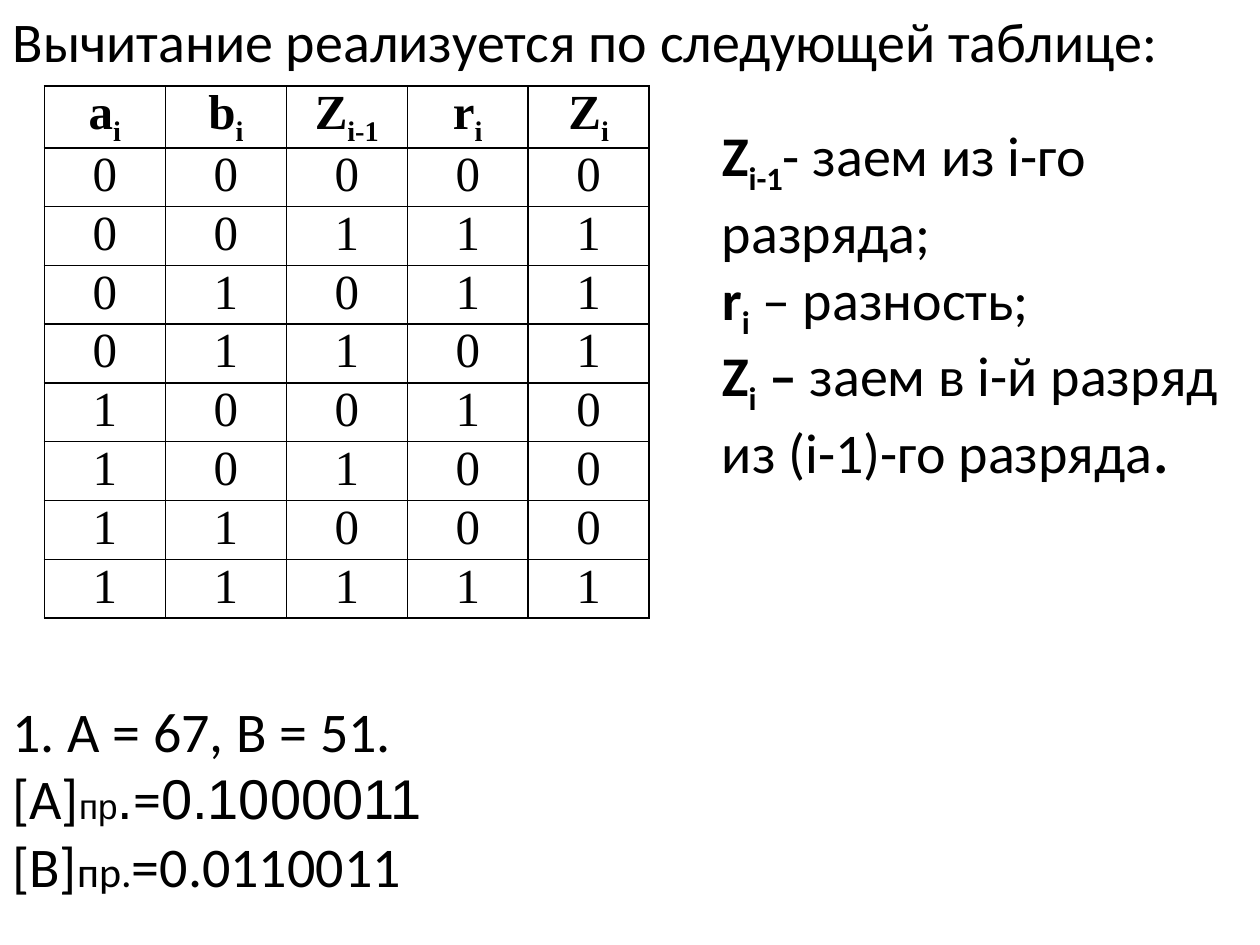
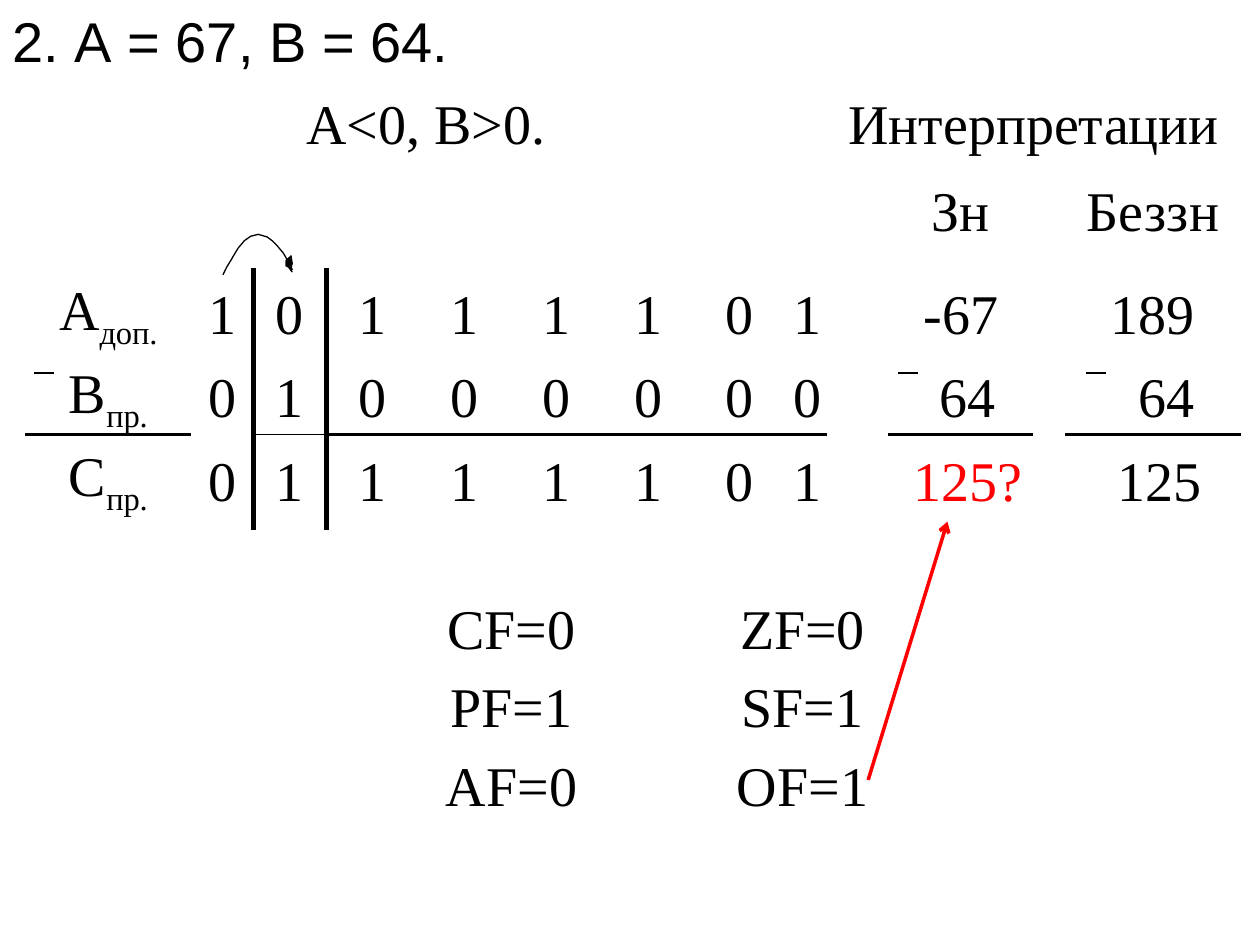
"""Build two slides on binary subtraction: the borrow table and a worked example with flags."""
from itertools import product

from lxml.etree import SubElement
from pptx import Presentation
from pptx.dml.color import RGBColor
from pptx.enum.shapes import MSO_CONNECTOR as Connector
from pptx.enum.text import MSO_ANCHOR as Anchor, MSO_AUTO_SIZE as AutoSize, PP_ALIGN as Align
from pptx.oxml.ns import qn
from pptx.util import Pt

THEME = {
    "ink": RGBColor(0, 0, 0),
    "alert": RGBColor(255, 0, 0),
    "body": "Calibri",
    "plain": "Arial",
    "digits": "Times New Roman",
    "large": Pt(32),
    "cell": Pt(28),
    "index": Pt(24),
    "small_index": Pt(20),
    "no_grid": "{2D5ABB26-0587-4C30-8999-92F81FD0307C}",
}


def write(paragraph, runs, **base):
    """Add (text, format) runs; an underscore in a text starts its subscript."""
    for text, changes in runs:
        look = {"size": THEME["large"], "name": THEME["body"], "bold": False, **base, **changes}
        color = look.pop("color", THEME["ink"])
        for level, part in enumerate(text.split("_")):
            run = paragraph.add_run()
            run.text = part
            for key, value in look.items():
                setattr(run.font, key, value)
            run.font.color.rgb = color
            if level:
                run.font._element.set("baseline", "-25000")


def add_grid(slide, left, top, widths, heights, rows, edges, looks, anchor, size):
    """Add a table with only the given cell edges, as (side, points) pairs, and text looks."""
    frame = slide.shapes.add_table(len(rows), len(widths), Pt(left), Pt(top),
                                   Pt(sum(widths)), Pt(sum(heights)))
    table = frame.table
    table.first_row = table.horz_banding = False
    table._tbl.tblPr.find(qn("a:tableStyleId")).text = THEME["no_grid"]
    for column, width in zip(table.columns, widths):
        column.width = Pt(width)
    for row, height in zip(table.rows, heights):
        row.height = Pt(height)
    for r, c in product(range(len(rows)), range(len(widths))):
        cell = table.cell(r, c)
        cell.vertical_anchor = anchor
        cell.margin_left = cell.margin_right = Pt(5)
        cell.margin_top = cell.margin_bottom = 0
        for side, weight in edges.get((r, c), []):
            line = SubElement(cell._tc.get_or_add_tcPr(), qn(f"a:ln{side}"), w=str(Pt(weight)))
            fill = SubElement(line, qn("a:solidFill"))
            SubElement(fill, qn("a:srgbClr"), val=str(THEME["ink"]))
        cell.fill.background()
        if rows[r][c]:
            paragraph = cell.text_frame.paragraphs[0]
            paragraph.alignment = Align.CENTER
            write(paragraph, [(rows[r][c], looks.get((r, c), {}))],
                  name=THEME["digits"], size=size)
    return table


prs = Presentation()
prs.slide_width, prs.slide_height = Pt(720), Pt(540)

headings = [
    ("Вычитание реализуется по следующей таблице:", THEME["body"], 46),
    ("2. А = 67, В = 64.", THEME["plain"], 85),
]
slides = []
for heading, face, height in headings:
    slide = prs.slides.add_slide(prs.slide_layouts[5])
    title = slide.shapes.title
    title.left, title.top, title.width, title.height = 0, 0, Pt(720), Pt(height)
    for key, value in {"auto_size": AutoSize.NONE, "vertical_anchor": Anchor.TOP,
                       "word_wrap": True}.items():
        setattr(title.text_frame, key, value)
    title.text_frame.paragraphs[0].alignment = Align.LEFT
    write(title.text_frame.paragraphs[0], [(heading, {})], name=face)
    slides.append(slide)
rules, example = slides

borrow_rows = [["a_i", "b_i", "Z_i-1", "r_i", "Z_i"]]
for a, b, borrow in product((0, 1), repeat=3):
    difference = a - b - borrow
    borrow_rows.append([str(bit) for bit in (a, b, borrow, difference % 2, int(difference < 0))])
box = [(side, 1) for side in "LRTB"]
add_grid(rules, 25.4, 49, [69.12] * 5, [33.6] * 9, borrow_rows,
         {spot: box for spot in product(range(9), range(5))},
         {(0, c): {"bold": True} for c in range(5)}, Anchor.TOP, THEME["cell"])

bold = {"bold": True}
arial = {"name": THEME["plain"]}
legend = [
    [("Z_i-1", bold), ("- заем из i-го разряда;", {})],
    [("r_i", bold), (" – разность;", {})],
    [("Z_i", bold), (" – ", bold), ("заем в i-й разряд из (i-1)-го разряда", {}), (".", bold)],
]
operands = [
    [("1. А = 67, В = 51.", {})],
    [("[А]", {}), ("пр", {**arial, "size": THEME["small_index"]}), (".", arial), ("=", {}),
     ("0.1000011", arial)],
    [("[В]", {}), ("пр.", {"size": THEME["index"]}), ("=0.0110011", {})],
]
for lines, left, top, width, height in [(legend, 405.4, 65.5, 314.6, 239.8),
                                        (operands, 0, 394.6, 720, 123.8)]:
    note = rules.shapes.add_textbox(Pt(left), Pt(top), Pt(width), Pt(height)).text_frame
    note.word_wrap = True
    for n, runs in enumerate(lines):
        write(note.add_paragraph() if n else note.paragraphs[0], runs)

sum_widths = [95, 35.3, 41.8, *[52.6] * 4, 51.8, 23.8, 35.3, 82.8, 18, 100.8]
sum_rows = [
    ["А<0, B>0.", *[""] * 8, "Интерпретации", "", "", ""],
    [*[""] * 10, "Зн", "", "Беззн"],
    ["A_доп.", *"10111101", "", "-67", "", "189"],
    ["B_пр.", *"01000000", "", "64", "", "64"],
    ["C_пр.", *"01111101", "", "125?", "", "125"],
]
sum_edges = {(3, c): [("B", 1.5)] for c in (0, *range(3, 9), 10, 12)}
sum_edges.update({(r, 1): [("R", 3)] for r in (2, 3, 4)})
sum_edges.update({(r, 2): [("L", 3)] for r in (2, 3, 4)})
sum_edges[3, 2] = [("L", 3), ("B", 1)]
subtraction = add_grid(example, 14.4, 54, sum_widths, [27.4, 63.4, 54.7, 27.4, 54.7], sum_rows,
                       sum_edges, {(4, 10): {"color": THEME["alert"]}}, Anchor.MIDDLE,
                       THEME["large"])
for first, last in [(0, 8), (9, 12)]:
    subtraction.cell(0, first).merge(subtraction.cell(0, last))
for (r, c), indent in {(3, 10): 8, (3, 12): 16, (4, 10): 8, (4, 12): 8}.items():
    subtraction.cell(r, c).margin_left = Pt(5 + indent)

minus_signs = [((x, 213.1), (x + 11.2, 213.1), "ink", 1.5) for x in (620.6, 19.4, 513.4)]
overflow_arrow = ((496.1, 445.7), (541.4, 298.1), "alert", 2)

borrow_arc = [
    (127.4, 157), (129.6, 152.6), (131.8, 149), (133.9, 145.4), (136.1, 141.8), (139.7, 137.5),
    (143.3, 135), (147.6, 133.9), (152.6, 135.4), (155.5, 137.5), (158.4, 140.4), (162, 144.7),
    (164.9, 149.8), (167, 154.1), (163.4, 151.2), (164.9, 148.3), (166.3, 146.2), (167, 150.5),
    (166.3, 153.4), (163.4, 151.9), (163.4, 149), (165.6, 146.9), (165.6, 151.2), (164.2, 151.2),
    (165.6, 149), (166.3, 152.6), (166.3, 148.3), (164.9, 152.6), (167, 155.5),
]
start, *bends = [(Pt(x), Pt(y)) for x, y in borrow_arc]
pen = example.shapes.build_freeform(*start)
pen.add_line_segments(bends, close=False)
arc = pen.convert_to_shape()
arc.shadow.inherit = False
arc.fill.background()
arc.line.color.rgb = THEME["ink"]
arc.line.width = Pt(0.75)

flags = [["CF=0", "", "ZF=0"], ["PF=1", "", "SF=1"], ["AF=0", "", "OF=1"]]
add_grid(example, 212.4, 337.7, [159.8, 13, 146.9], [44.9] * 3, flags, {}, {},
         Anchor.MIDDLE, THEME["large"])

for begin, end, color, weight in [*minus_signs, overflow_arrow]:
    stroke = example.shapes.add_connector(Connector.STRAIGHT, *map(Pt, begin + end))
    stroke.line.color.rgb = THEME[color]
    stroke.line.width = Pt(weight)
    if color == "alert":
        SubElement(stroke.line._get_or_add_ln(), qn("a:tailEnd"), type="arrow")
    SubElement(stroke._element.spPr, qn("a:effectLst"))

prs.save("out.pptx")
